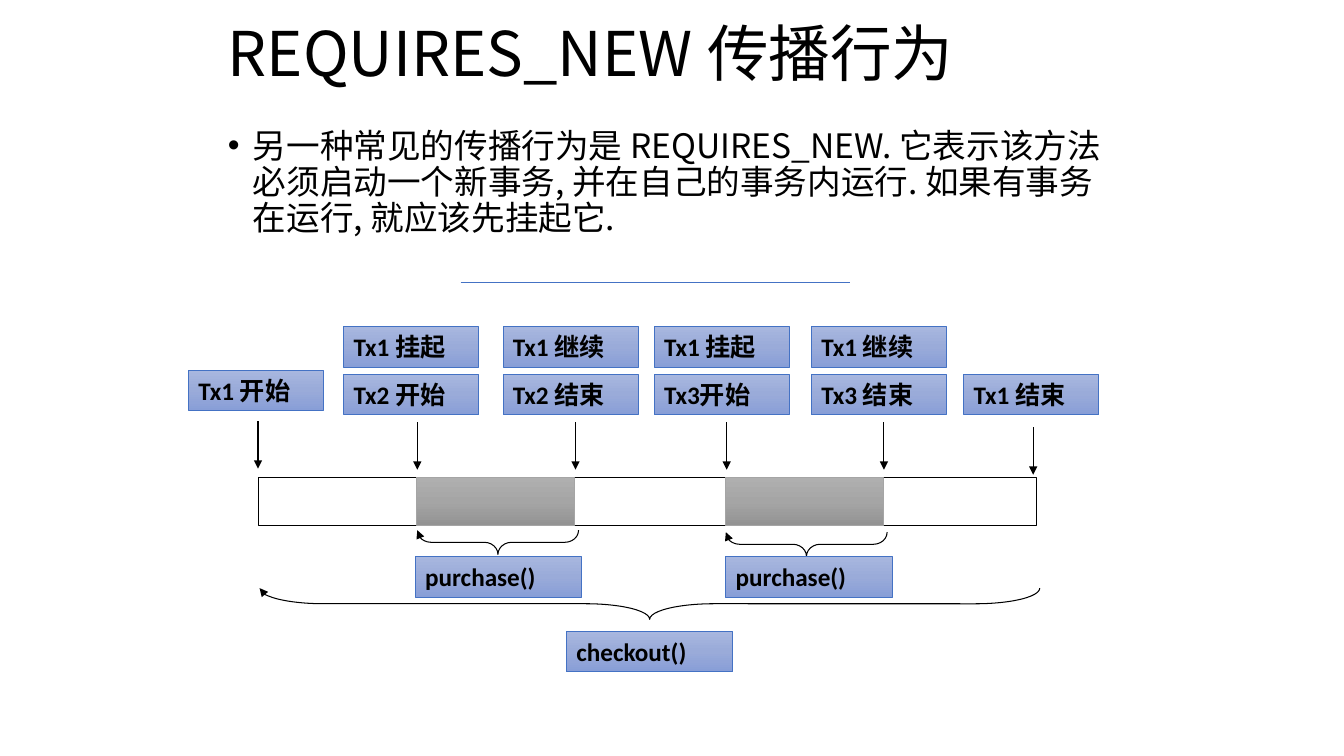
from copy import deepcopy

from lxml.etree import SubElement
from pptx import Presentation
from pptx.dml.color import RGBColor
from pptx.enum.shapes import MSO_CONNECTOR, MSO_SHAPE
from pptx.enum.text import MSO_ANCHOR, MSO_AUTO_SIZE, PP_ALIGN
from pptx.oxml.ns import qn
from pptx.util import Pt

COLORS = {
    "text": "000000",
    "paper": "FFFFFF",
    "accent": "4472C4",
    "suspended": "A5A5A5",
}
TAG_SHADES = ("A8B7DF", "9AABD9", "889ED7")
SUSPENDED_SHADES = ("AFAFAF", "A5A5A5", "939393")
CJK_FONT = "Noto Sans CJK SC"
TAG_FONT = "Calibri"
TAG_WIDTH, METHOD_WIDTH, TAG_HEIGHT = 96.5, 118.8, 29
UPPER_ROW, LOWER_ROW = 233.3, 267.1
BAR_TOP, BAR_HEIGHT = 341.3, 33.8
ARROW_LENGTH = 33.8

EVENTS = [
    (134.6, 264.2, ["Tx1 开始"]),
    (245.5, UPPER_ROW, ["Tx1 挂起", "Tx2 开始"]),
    (359.3, UPPER_ROW, ["Tx1 继续", "Tx2 结束"]),
    (467.3, UPPER_ROW, ["Tx1 挂起", "Tx3开始"]),
    (579.6, UPPER_ROW, ["Tx1 继续", "Tx3 结束"]),
    (688.3, LOWER_ROW, ["Tx1 结束"]),
]
ARROWS = [(184.3, 301), (298.1, 301.7), (411.1, 301.7),
          (519.1, 301.7), (631.4, 301.7), (738, 305.3)]
BRACES = [
    (452.9, 152.6, 22.3, 557.3, 2.053),
    (347, 329.8, 17.3, 115.2, 0.565),
    (567.4, 331.2, 17.3, 115.2, 0.565),
]
METHODS = [("checkout()", 404.6, 450.7), ("purchase()", 296.6, 397.4),
           ("purchase()", 518.4, 397.4)]


def rgb(name):
    return RGBColor.from_string(COLORS[name])


def place(shape, left, top, width, height):
    shape.left, shape.top = Pt(left), Pt(top)
    shape.width, shape.height = Pt(width), Pt(height)


def style_text(paragraph, font_name, size, bold=False):
    paragraph.alignment = PP_ALIGN.LEFT
    paragraph.space_before = Pt(0)
    for run in paragraph.runs:
        run.font.name = font_name
        run.font.size = Pt(size)
        run.font.bold = bold
        run.font.color.rgb = rgb("text")
        east_asian = SubElement(run.font._element, qn("a:ea"))
        east_asian.set("typeface", CJK_FONT)


def set_hanging(paragraph, indent, bullet=None):
    properties = paragraph._p.get_or_add_pPr()
    properties.set("marL", str(Pt(indent)))
    properties.set("indent", str(-Pt(indent)))
    if bullet:
        SubElement(properties, qn("a:buFont")).set("typeface", "Arial")
        SubElement(properties, qn("a:buChar")).set("char", bullet)


def fill_placeholder(placeholder, text, box, size, anchor):
    place(placeholder, *box)
    frame = placeholder.text_frame
    frame.text = text
    frame.word_wrap = True
    frame.auto_size = MSO_AUTO_SIZE.NONE
    frame.vertical_anchor = anchor
    paragraph = frame.paragraphs[0]
    paragraph.line_spacing = 0.9
    style_text(paragraph, CJK_FONT, size)
    return paragraph


def shade(shape, shades):
    shape.fill.gradient()
    shape.fill.gradient_angle = 270
    first = shape._element.spPr.find(".//" + qn("a:gs"))
    first.addnext(deepcopy(first))
    for stop, position, color in zip(shape.fill.gradient_stops, (0, 0.5, 1), shades):
        stop.position = position
        stop.color.rgb = RGBColor.from_string(color)


def set_line(shape, color, width, arrow=False):
    shape.line.color.rgb = rgb(color)
    shape.line.width = Pt(width)
    if arrow:
        line = shape._element.spPr.find(qn("a:ln"))
        SubElement(line, qn("a:tailEnd")).set("type", "triangle")


def add_block(slide, left, top, width, height, line_color, line_width, shades=None):
    block = slide.shapes.add_shape(
        MSO_SHAPE.RECTANGLE, Pt(left), Pt(top), Pt(width), Pt(height))
    block.shadow.inherit = False
    if shades:
        shade(block, shades)
    else:
        block.fill.solid()
        block.fill.fore_color.rgb = rgb("paper")
    set_line(block, line_color, line_width)
    return block


def add_tag(slide, text, left, top, width):
    tag = add_block(slide, left, top, width, TAG_HEIGHT, "accent", 0.5, TAG_SHADES)
    frame = tag.text_frame
    frame.text = text
    frame.word_wrap = True
    frame.auto_size = MSO_AUTO_SIZE.SHAPE_TO_FIT_TEXT
    frame.vertical_anchor = MSO_ANCHOR.TOP
    set_hanging(frame.paragraphs[0], 27)
    style_text(frame.paragraphs[0], TAG_FONT, 18, bold=True)


def add_line(slide, start, end, color, width, arrow=False):
    line = slide.shapes.add_connector(
        MSO_CONNECTOR.STRAIGHT, *(Pt(value) for value in start + end))
    set_line(line, color, width, arrow)
    SubElement(line._element.spPr, qn("a:effectLst"))


def add_brace(slide, left, top, width, height, curl):
    brace = slide.shapes.add_shape(
        MSO_SHAPE.RIGHT_BRACE, Pt(left), Pt(top), Pt(width), Pt(height))
    brace.rotation = 90
    brace.adjustments[0] = curl
    brace.shadow.inherit = False
    brace.fill.background()
    set_line(brace, "text", 0.75, arrow=True)


def main():
    presentation = Presentation()
    presentation.slide_width, presentation.slide_height = Pt(960), Pt(540)
    slide = presentation.slides.add_slide(presentation.slide_layouts[1])

    fill_placeholder(slide.shapes.title, "REQUIRES_NEW 传播行为",
                     (155.5, 6.5, 648, 67.7), 44, MSO_ANCHOR.MIDDLE)
    description = fill_placeholder(
        slide.placeholders[1],
        "另一种常见的传播行为是 REQUIRES_NEW. 它表示该方法必须启动一个新事务, "
        "并在自己的事务内运行. 如果有事务在运行, 就应该先挂起它.",
        (155.5, 88.6, 646.5, 104.4), 24, MSO_ANCHOR.TOP)
    set_hanging(description, 18, "•")

    add_line(slide, (329, 201.6), (607, 201.6), "accent", 0.5)
    add_block(slide, 184.3, BAR_TOP, 555.8, BAR_HEIGHT, "text", 0.75)
    for left in (297.4, 518.4):
        add_block(slide, left, BAR_TOP, 113, BAR_HEIGHT,
                  "suspended", 0.5, SUSPENDED_SHADES)
    for x, top in ARROWS:
        add_line(slide, (x, top), (x, top + ARROW_LENGTH), "text", 0.75, arrow=True)
    for left, top, labels in EVENTS:
        for row, label in enumerate(labels):
            add_tag(slide, label, left, top + row * (LOWER_ROW - UPPER_ROW), TAG_WIDTH)
    for brace in BRACES:
        add_brace(slide, *brace)
    for method, left, top in METHODS:
        add_tag(slide, method, left, top, METHOD_WIDTH)

    presentation.save("out.pptx")


if __name__ == "__main__":
    main()
